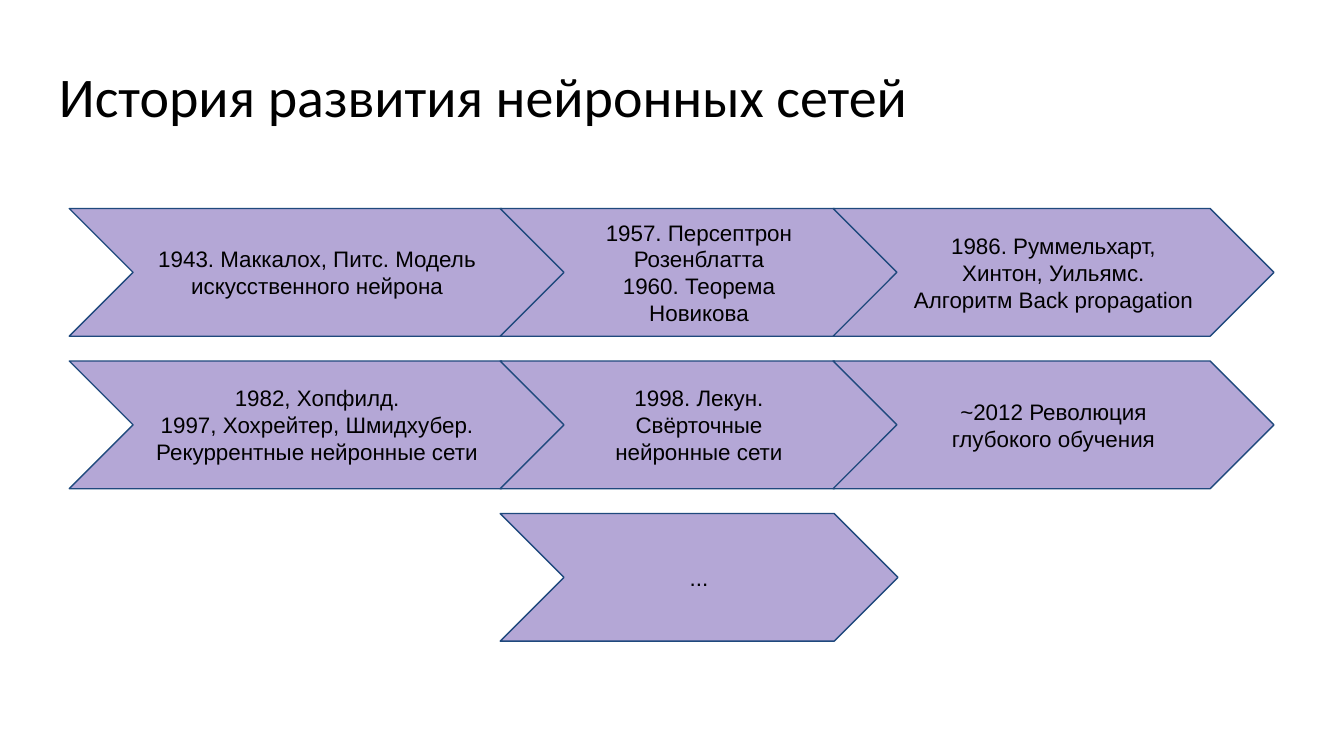
from pptx import Presentation
from pptx.dml.color import RGBColor
from pptx.enum import shapes, text
from pptx.util import Pt

INSET = 7.2
CHEVRON_HEIGHT = 68.4
ROW_PITCH = 81.7
OVERLAP = 34.8
COLUMN_WIDTHS = [265.7, 213.1, 236.2]

# Each row: first column, then the paragraphs of every chevron
ROWS = [
    (0, [
        ["1943. Маккалох, Питс. Модель искусственного нейрона"],
        ["1957. Персептрон Розенблатта", "1960. Теорема Новикова"],
        ["1986. Руммельхарт, Хинтон, Уильямс.", "Алгоритм Back propagation"],
    ]),
    (0, [
        ["1982, Хопфилд.", "1997, Хохрейтер, Шмидхубер.",
         "Рекуррентные нейронные сети"],
        ["1998. Лекун. Свёрточные нейронные сети"],
        ["~2012 Революция глубокого обучения"],
    ]),
    (1, [["..."]]),
]


def color(value):
    return RGBColor.from_string(value)


def write(shape, lines, font, size, align, anchor):
    frame = shape.text_frame
    frame.word_wrap = True
    frame.vertical_anchor = anchor
    frame.margin_left = frame.margin_right = Pt(INSET)
    frame.margin_top = frame.margin_bottom = Pt(INSET)
    for index, line in enumerate(lines):
        para = frame.add_paragraph() if index else frame.paragraphs[0]
        para.alignment = align
        span = para.add_run()
        span.text = line
        span.font.name = font
        span.font.size = Pt(size)
        span.font.color.rgb = color("000000")


def add_title(page, left, top, width, height):
    box = page.shapes.add_textbox(Pt(left), Pt(top), Pt(width), Pt(height))
    write(box, ["История развития нейронных сетей"], "Calibri", 30,
          text.PP_ALIGN.LEFT, text.MSO_ANCHOR.TOP)


def add_chevron(page, left, top, width, height, lines):
    chevron = page.shapes.add_shape(
        shapes.MSO_SHAPE.CHEVRON, Pt(left), Pt(top), Pt(width), Pt(height))
    chevron.shadow.inherit = False
    chevron.fill.solid()
    chevron.fill.fore_color.rgb = color("B4A7D6")
    chevron.line.color.rgb = color("1F497D")
    chevron.line.width = Pt(0.75)
    write(chevron, lines, "Arial", 12,
          text.PP_ALIGN.CENTER, text.MSO_ANCHOR.MIDDLE)


def add_timeline(page, left, top):
    for row, (first, events) in enumerate(ROWS):
        for column, lines in enumerate(events, first):
            # Neighbours interlock: each starts inside the previous point
            offset = sum(COLUMN_WIDTHS[:column]) - column * OVERLAP
            add_chevron(page, left + offset, top + row * ROW_PITCH,
                        COLUMN_WIDTHS[column], CHEVRON_HEIGHT, lines)


def main():
    deck = Presentation()
    deck.slide_width, deck.slide_height = Pt(720), Pt(405)
    page = deck.slides.add_slide(deck.slide_layouts[6])

    # Heading
    add_title(page, 24.5, 26, 671, 45.4)
    # History in rows of arrows
    add_timeline(page, 37.1, 111.7)

    deck.save("out.pptx")


if __name__ == "__main__":
    main()
